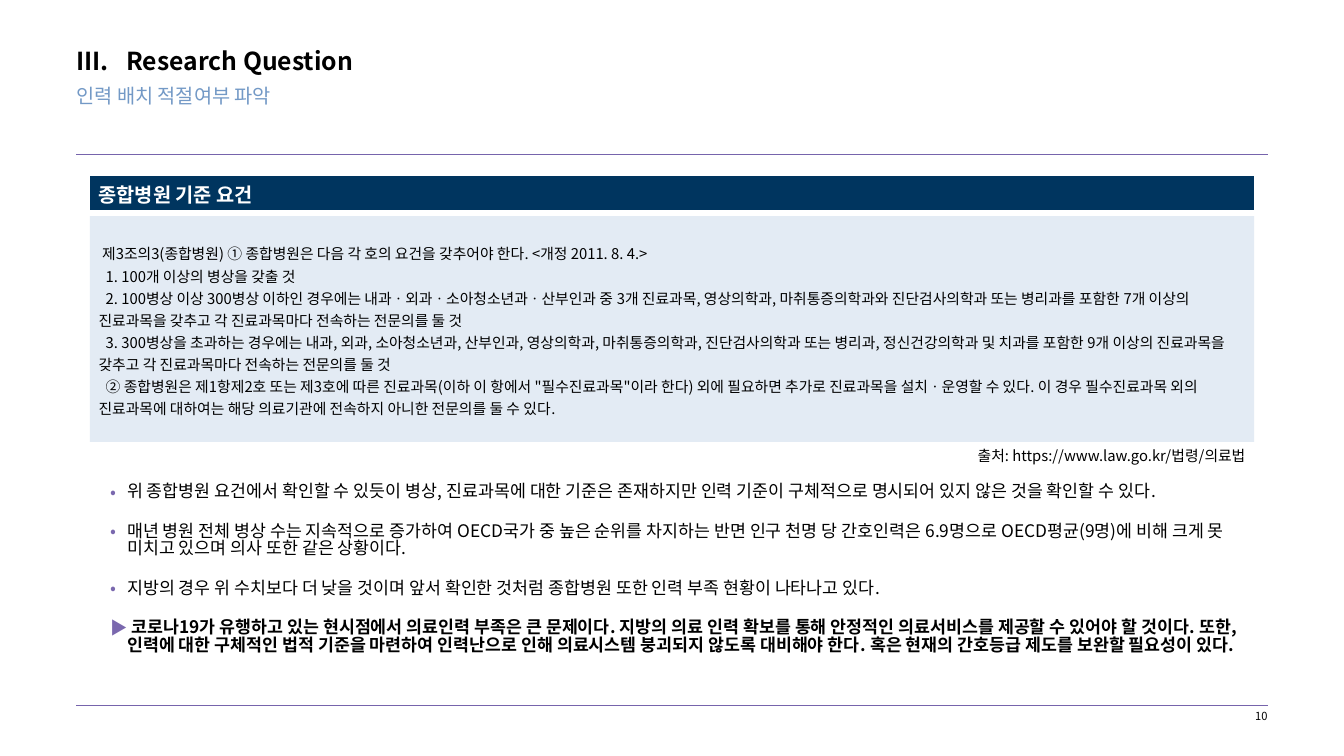
from lxml.etree import SubElement
from pptx import Presentation
from pptx.dml.color import RGBColor
from pptx.enum.shapes import MSO_CONNECTOR, MSO_SHAPE
from pptx.enum.text import MSO_ANCHOR as Anchor, MSO_AUTO_SIZE as AutoSize, PP_ALIGN as Align
from pptx.oxml.ns import qn
from pptx.util import Pt

PX = 9144  # 100 px to the inch
FONT = "Noto Sans CJK KR"
COLORS = {
    "text": "000000", "subtitle": "7399C6", "rule": "7664AC", "bullet": "7A68AE",
    "header": "00355F", "panel": "E3EBF4", "white": "FFFFFF",
}
NO_MARGINS = dict.fromkeys(("margin_left", "margin_top", "margin_right", "margin_bottom"), 0)

REQUIREMENTS = [
    "제3조의3(종합병원) ① 종합병원은 다음 각 호의 요건을 갖추어야 한다. <개정 2011. 8. 4.>",
    "1. 100개 이상의 병상을 갖출 것",
    "2. 100병상 이상 300병상 이하인 경우에는 내과ㆍ외과ㆍ소아청소년과ㆍ산부인과 중 3개 진료과목, "
    "영상의학과, 마취통증의학과와 진단검사의학과 또는 병리과를 포함한 7개 이상의 진료과목을 갖추고 "
    "각 진료과목마다 전속하는 전문의를 둘 것",
    "3. 300병상을 초과하는 경우에는 내과, 외과, 소아청소년과, 산부인과, 영상의학과, 마취통증의학과, "
    "진단검사의학과 또는 병리과, 정신건강의학과 및 치과를 포함한 9개 이상의 진료과목을 갖추고 "
    "각 진료과목마다 전속하는 전문의를 둘 것",
    "② 종합병원은 제1항제2호 또는 제3호에 따른 진료과목(이하 이 항에서 \"필수진료과목\"이라 한다) "
    "외에 필요하면 추가로 진료과목을 설치ㆍ운영할 수 있다. 이 경우 필수진료과목 외의 진료과목에 "
    "대하여는 해당 의료기관에 전속하지 아니한 전문의를 둘 수 있다.",
]
FINDINGS = [
    "위 종합병원 요건에서 확인할 수 있듯이 병상, 진료과목에 대한 기준은 존재하지만 "
    "인력 기준이 구체적으로 명시되어 있지 않은 것을 확인할 수 있다.",
    "매년 병원 전체 병상 수는 지속적으로 증가하여 OECD국가 중 높은 순위를 차지하는 반면 "
    "인구 천명 당 간호인력은 6.9명으로 OECD평균(9명)에 비해 크게 못 미치고 있으며 "
    "의사 또한 같은 상황이다.",
    "지방의 경우 위 수치보다 더 낮을 것이며 앞서 확인한 것처럼 "
    "종합병원 또한 인력 부족 현황이 나타나고 있다.",
]
CONCLUSION = (
    " 코로나19가 유행하고 있는 현시점에서 의료인력 부족은 큰 문제이다. "
    "지방의 의료 인력 확보를 통해 안정적인 의료서비스를 제공할 수 있어야 할 것이다. "
    "또한, 인력에 대한 구체적인 법적 기준을 마련하여 인력난으로 인해 의료시스템 붕괴되지 않도록 "
    "대비해야 한다. 혹은 현재의 간호등급 제도를 보완할 필요성이 있다."
)


def color(name):
    return RGBColor.from_string(COLORS[name])


def scaled(box):
    return [value * PX for value in box]


def set_values(target, values):
    for name, value in values.items():
        setattr(target, name, value)


def set_frame(frame, **values):
    set_values(frame, {"word_wrap": True, "auto_size": AutoSize.NONE,
                       "vertical_anchor": Anchor.MIDDLE, **values})


def write(para, text, size, ink="text", bold=False, **layout):
    set_values(para, {"alignment": Align.LEFT, "space_before": Pt(0), **layout})
    span = para.add_run()
    span.text = text
    set_values(span.font, {"size": Pt(size), "bold": bold, "name": FONT})
    span.font.color.rgb = color(ink)
    SubElement(span.font._element, qn("a:ea"), typeface=FONT)


def set_indent(para, left, first):
    properties = para._p.get_or_add_pPr()
    properties.set("marL", str(left * PX))
    properties.set("indent", str(first * PX))
    return properties


def set_bullet(para, left, hanging, ink, tag, **values):
    properties = set_indent(para, left, -hanging)
    bullet_color = SubElement(properties, qn("a:buClr"))
    SubElement(bullet_color, qn("a:srgbClr"), val=COLORS[ink])
    SubElement(properties, qn("a:buFont"), typeface=FONT)
    SubElement(properties, qn(tag), **values)


def place(shape, box):
    set_values(shape, dict(zip(("left", "top", "width", "height"), scaled(box))))
    return shape.text_frame


def add_heading(title, subtitle, box):
    left, top, width, height = box
    # Numbered title
    frame = place(title, (left, top, width, 34))
    set_frame(frame, **NO_MARGINS)
    para = frame.paragraphs[0]
    write(para, "Research Question", 20, bold=True)
    set_bullet(para, 56, 56, "text", "a:buAutoNum", type="romanUcPeriod", startAt="3")
    # Subtitle
    frame = place(subtitle, (left, top + 38, width, height - 38))
    set_frame(frame, **NO_MARGINS)
    para = frame.paragraphs[0]
    write(para, "인력 배치 적절여부 파악", 16, "subtitle")
    SubElement(set_indent(para, 0, 0), qn("a:buNone"))


def add_note(page, box, text, size, **frame_values):
    frame = page.shapes.add_textbox(*scaled(box)).text_frame
    set_frame(frame, **frame_values)
    write(frame.paragraphs[0], text, size, alignment=Align.RIGHT)


def add_rules(page, box):
    left, top, width, height = box
    for y in (top, top + height):
        rule = page.shapes.add_connector(
            MSO_CONNECTOR.STRAIGHT, *scaled((left, y, left + width, y)))
        rule.line.color.rgb = color("rule")
        rule.line.width = Pt(0.75)
        SubElement(rule._element.spPr, qn("a:effectLst"))
    # Page number
    add_note(page, (left + width - 229, top + height + 5, 229, 15), "10", 9, **NO_MARGINS)


def add_requirements(page, box):
    left, top, width, height = box
    # Header bar
    table = page.shapes.add_table(1, 1, *scaled((left, top, width, 41))).table
    set_values(table, {"first_row": False, "horz_banding": False})
    cell = table.cell(0, 0)
    set_values(cell, {"vertical_anchor": Anchor.MIDDLE,
                      "margin_top": 4 * PX, "margin_bottom": 4 * PX})
    write(cell.text_frame.paragraphs[0], "종합병원 기준 요건", 16, "white", True)
    properties = cell._tc.get_or_add_tcPr()
    for side, points in {"L": 1, "R": 1, "T": 1, "B": 3}.items():
        border = SubElement(properties, qn(f"a:ln{side}"), w=str(Pt(points)))
        fill = SubElement(border, qn("a:solidFill"))
        SubElement(fill, qn("a:srgbClr"), val=COLORS["white"])
    cell.fill.solid()
    cell.fill.fore_color.rgb = color("header")
    # Legal text panel
    panel = page.shapes.add_shape(
        MSO_SHAPE.RECTANGLE, *scaled((left, top + 46, width, height - 46)))
    panel.shadow.inherit = False
    panel.fill.solid()
    panel.fill.fore_color.rgb = color("panel")
    panel.line.fill.background()
    frame = panel.text_frame
    set_frame(frame)
    for index, text in enumerate(REQUIREMENTS):
        para = frame.add_paragraph() if index else frame.paragraphs[0]
        write(para, text, 12, line_spacing=1.24)
        set_indent(para, 0, 8 if index else 4)
    # Source line
    add_note(page, (left + width - 341, top + height, 341, 30),
             "출처: https://www.law.go.kr/법령/의료법", 12)


def add_findings(body, box):
    frame = place(body, box)
    set_frame(frame, **{**NO_MARGINS, "margin_top": 17 * PX, "vertical_anchor": Anchor.TOP})
    for index, text in enumerate([*FINDINGS, CONCLUSION]):
        para = frame.add_paragraph() if index else frame.paragraphs[0]
        final = text == CONCLUSION
        write(para, text, 14, bold=final, line_spacing=0.85,
              space_before=Pt(17.5 if index else 0))
        set_bullet(para, 57, 19, "bullet", "a:buChar", char="▶" if final else "•")


def main():
    deck = Presentation()
    deck.slide_width, deck.slide_height = scaled((1511, 850))
    page = deck.slides.add_slide(deck.slide_layouts[3])
    title, subtitle, body = page.placeholders
    add_rules(page, (86, 174, 1339, 619))
    add_heading(title, subtitle, (86, 51, 1176, 75))
    add_requirements(page, (101, 197, 1309, 300))
    add_findings(body, (86, 527, 1309, 254))
    deck.save("out.pptx")


if __name__ == "__main__":
    main()
